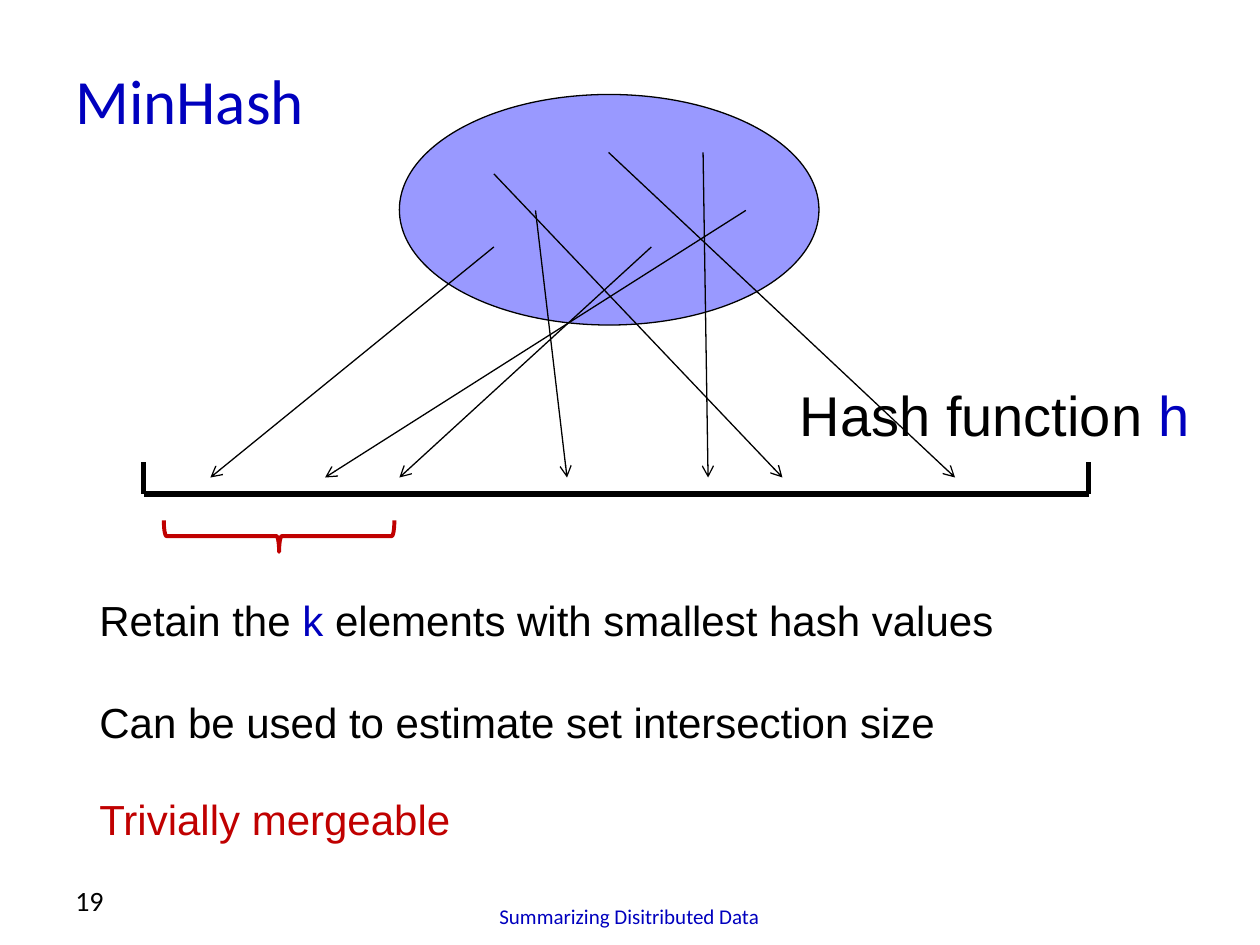
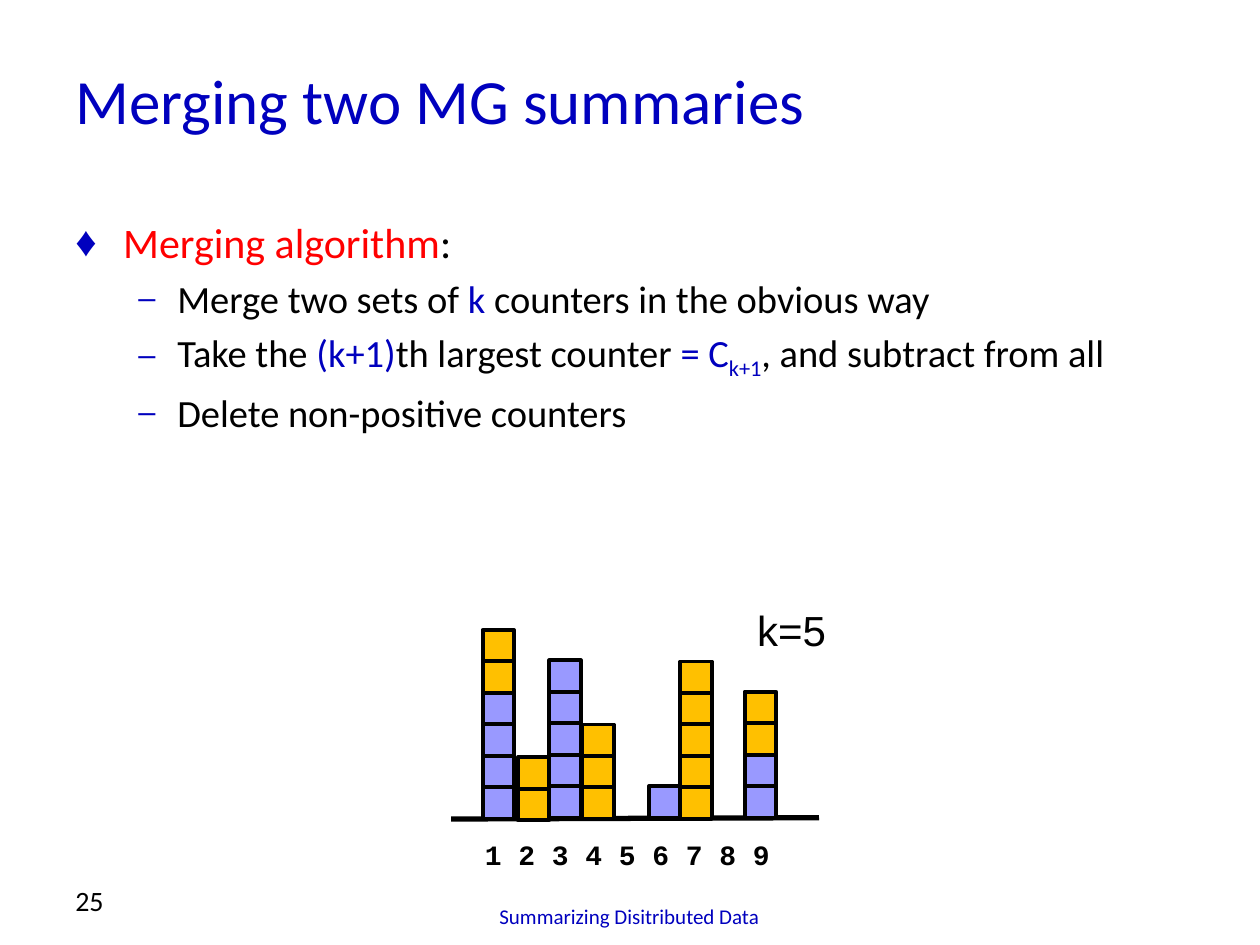
from lxml import etree
from pptx import Presentation
from pptx.dml.color import RGBColor
from pptx.enum.shapes import MSO_CONNECTOR, MSO_SHAPE
from pptx.enum.text import MSO_ANCHOR, MSO_AUTO_SIZE, PP_ALIGN
from pptx.oxml.ns import qn
from pptx.util import Pt

PX = 9144  # 100 px to the inch

BLACK = RGBColor(0x00, 0x00, 0x00)
WHITE = RGBColor(0xFF, 0xFF, 0xFF)
BLUE = RGBColor(0x00, 0x00, 0xBE)
LILAC = RGBColor(0x99, 0x99, 0xFF)
AMBER = RGBColor(0xFF, 0xC0, 0x00)
DARK_RED = RGBColor(0xC0, 0x00, 0x00)
RED = RGBColor(0xFF, 0x00, 0x00)


def px(*lengths):
    return [round(length * PX) for length in lengths]


def add_runs(paragraph, runs, size, font):
    """Each run is (text, colour) or (text, colour, baseline shift)."""
    for text, colour, *shift in runs:
        run = paragraph.add_run()
        run.text = text
        run.font.size = Pt(size)
        run.font.name = font
        run.font.color.rgb = colour
        if shift:
            run.font._element.set("baseline", str(shift[0]))


def add_text(slide, box, paragraphs, size, font="Arial", anchor=MSO_ANCHOR.TOP,
             align=PP_ALIGN.LEFT, wrap=False, gap=0):
    frame = slide.shapes.add_textbox(*px(*box)).text_frame
    frame.word_wrap = wrap
    frame.auto_size = MSO_AUTO_SIZE.NONE if wrap else MSO_AUTO_SIZE.SHAPE_TO_FIT_TEXT
    frame.vertical_anchor = anchor
    for index, runs in enumerate(paragraphs):
        paragraph = frame.add_paragraph() if index else frame.paragraphs[0]
        paragraph.alignment = align
        if index and gap:
            paragraph.space_before = Pt(gap)
        add_runs(paragraph, runs, size, font)
    return frame


def add_shape(slide, kind, box, fill, line, width):
    shape = slide.shapes.add_shape(kind, *px(*box))
    shape.shadow.inherit = False
    shape.fill.solid()
    shape.fill.fore_color.rgb = fill
    shape.line.color.rgb = line
    shape.line.width = Pt(width)
    return shape


def add_line(slide, start, end, width, arrow=False):
    line = slide.shapes.add_connector(MSO_CONNECTOR.STRAIGHT, *px(*start, *end))
    line.line.color.rgb = BLACK
    line.line.width = Pt(width)
    if arrow:
        etree.SubElement(line.line._get_or_add_ln(), qn("a:tailEnd"), type="arrow")
    etree.SubElement(line._element.spPr, qn("a:effectLst"))


def add_bullet(paragraph, character, margin, indent, size_percent=100):
    properties = paragraph._p.get_or_add_pPr()
    properties.set("marL", str(margin * PX))
    properties.set("indent", str(-indent * PX))
    colour = etree.SubElement(properties, qn("a:buClr"))
    etree.SubElement(colour, qn("a:srgbClr"), val=str(BLUE))
    etree.SubElement(properties, qn("a:buSzPct"), val=str(size_percent * 1000))
    etree.SubElement(properties, qn("a:buFont"), typeface="Arial")
    etree.SubElement(properties, qn("a:buChar"), char=character)


def add_base_slide(presentation, title, number):
    """Blank slide with the shared title, footer and slide number."""
    slide = presentation.slides.add_slide(presentation.slide_layouts[6])
    add_text(slide, (50, 33, 950, 92), [[(title, BLUE)]], 36, "Calibri",
             MSO_ANCHOR.MIDDLE, wrap=True)
    add_text(slide, (258, 692, 483, 50), [[("Summarizing Disitributed Data", BLUE)]],
             12, "Calibri", MSO_ANCHOR.BOTTOM, PP_ALIGN.CENTER, wrap=True)
    add_text(slide, (50, 683, 233, 50), [[(number, BLACK)]], 16, "Calibri",
             MSO_ANCHOR.BOTTOM, wrap=True)
    return slide


def draw_hash_diagram(slide, left, top):
    """Set of elements mapped by arrows onto the range of the hash function."""
    def at(x, y):
        return left + x, top + y

    add_shape(slide, MSO_SHAPE.OVAL, (*at(203, 0), 333, 183), LILAC, BLACK, 0.75)
    add_text(slide, (*at(511, 222), 332, 64),
             [[("Hash function ", BLACK), ("h", BLUE)]], 32)

    # Hash range with its two end marks
    range_end, range_y, mark_y = 750, 317, 292
    add_line(slide, at(0, range_y), at(range_end, range_y), 3)
    for x in (range_end, 0):
        add_line(slide, at(x, mark_y), at(x, range_y), 3)

    # Element position and the place it hashes to
    hashes = [(278, 121, 53), (311, 92, 336), (278, 63, 507), (403, 121, 203),
              (369, 46, 644), (478, 92, 144), (444, 46, 448)]
    for x, y, hashed_x in hashes:
        add_line(slide, at(x, y), at(hashed_x, 304), 0.75, arrow=True)

    # Brace under the smallest values
    brace = add_shape(slide, MSO_SHAPE.RIGHT_BRACE, (*at(95, 259), 25, 183),
                      WHITE, DARK_RED, 2.25)
    brace.rotation = 90


def build_minhash_slide(presentation):
    slide = add_base_slide(presentation, "MinHash", "19")
    draw_hash_diagram(slide, 114, 75)
    add_text(slide, (69, 467, 737, 131), [
        [("Retain the ", BLACK), ("k ", BLUE),
         ("elements with smallest hash values", BLACK)],
        [("Can be used to estimate set intersection size", BLACK)],
    ], 24, gap=29.5)
    add_text(slide, (69, 625, 302, 50), [[("Trivially mergeable", DARK_RED)]], 24)


def draw_algorithm(slide, box):
    heading = [("Merging algorithm", RED), (":", BLACK)]
    steps = [
        [("Merge two sets of ", BLACK), ("k", BLUE),
         (" counters in the obvious way", BLACK)],
        [("Take the ", BLACK), ("(k+1)", BLUE), ("th largest counter ", BLACK),
         ("= C", BLUE), ("k+1", BLUE, -25000), (", and subtract from all", BLACK)],
        [("Delete non-positive counters", BLACK)],
    ]
    frame = add_text(slide, box, [heading], 24, "Calibri", wrap=True)
    add_bullet(frame.paragraphs[0], "♦", 38, 38)
    for runs in steps:
        paragraph = frame.add_paragraph()
        paragraph.level = 1
        paragraph.space_before = Pt(4.4)
        add_bullet(paragraph, "–", 81, 31, 80)
        add_runs(paragraph, runs, 22, "Calibri")


def draw_counters(slide, left, top):
    """Stacked counters of both summaries above a numbered axis."""
    cell = 25
    add_line(slide, (left, top + 175), (left + 292, top + 174), 3)

    # Column offset, top of the lowest cell, cells of first and second summary
    columns = [(25, 150, 4, 2), (53, 151, 0, 2), (78, 149, 5, 0), (104, 150, 0, 3),
               (157, 149, 1, 0), (182, 150, 0, 5), (233, 149, 2, 2)]
    for x, lowest, first, second in columns:
        for level, fill in enumerate([LILAC] * first + [AMBER] * second):
            add_shape(slide, MSO_SHAPE.RECTANGLE,
                      (left + x, top + lowest - level * cell, cell, cell),
                      fill, BLACK, 2.25)

    labels = add_text(slide, (left + 17, top + 185, 263, 37),
                      [[("1 2 3 4 5 6 7 8 9", BLACK)]], 16, "Courier New")
    labels.paragraphs[0].runs[0].font.bold = True
    add_text(slide, (left + 233, top, 75, 50), [[("k=5", BLACK)]], 24)


def build_merging_slide(presentation):
    slide = add_base_slide(presentation, "Merging two MG summaries", "25")
    draw_algorithm(slide, (50, 167, 900, 250))
    draw_counters(slide, 358, 475)


def main():
    presentation = Presentation()
    presentation.slide_width, presentation.slide_height = px(1000, 750)
    build_minhash_slide(presentation)
    build_merging_slide(presentation)
    presentation.save("out.pptx")


if __name__ == "__main__":
    main()
